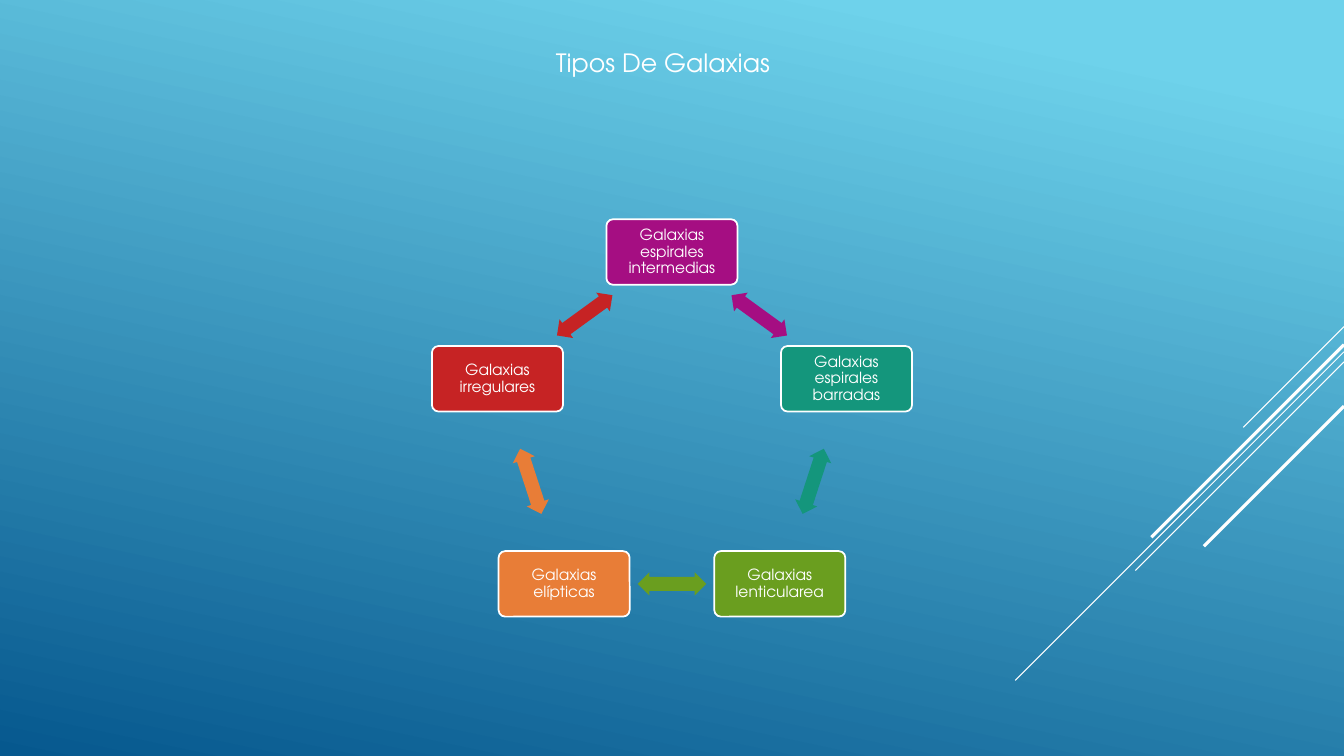
from math import cos, radians, sin

from lxml import etree
from pptx import Presentation
from pptx.dml.color import RGBColor
from pptx.enum.shapes import MSO_CONNECTOR, MSO_SHAPE
from pptx.enum.text import MSO_ANCHOR, PP_ALIGN
from pptx.oxml.ns import qn
from pptx.util import Inches, Pt

FONT = "TeX Gyre Adventor"
WHITE = RGBColor(0xFF, 0xFF, 0xFF)
SKY = RGBColor(0x6E, 0xD2, 0xEB)
DEEP_BLUE = RGBColor(0x06, 0x58, 0x8E)
PURPLE = RGBColor(0xA5, 0x0E, 0x82)
TEAL = RGBColor(0x14, 0x96, 0x7C)
GREEN = RGBColor(0x6A, 0x9E, 0x1F)
ORANGE = RGBColor(0xE8, 0x7D, 0x37)
RED = RGBColor(0xC6, 0x23, 0x24)

SLIDE_W, SLIDE_H = 13.33, 7.5

# Clockwise from the top
GALAXIES = [
    ("Galaxias espirales intermedias", PURPLE),
    ("Galaxias espirales barradas", TEAL),
    ("Galaxias lenticularea", GREEN),
    ("Galaxias elípticas", ORANGE),
    ("Galaxias irregulares", RED),
]

# Top on the right edge, horizontal run, width in points
STREAKS = [
    (3.24, 1.0, 0.75),
    (3.49, 3.26, 0.75),
    (3.59, 2.07, 0.75),
    (3.42, 1.91, 2.25),
    (4.03, 1.39, 2.25),
]


def add_text(tf, text, size):
    tf.word_wrap = True
    p = tf.paragraphs[0]
    p.alignment = PP_ALIGN.CENTER
    r = p.add_run()
    r.text = text
    r.font.name = FONT
    r.font.size = Pt(size)
    r.font.color.rgb = WHITE
    return p


def add_filled(s, kind, cx, cy, w, h, color):
    """Add a flat shape centred on (cx, cy)."""
    sp = s.shapes.add_shape(kind, Inches(cx - w / 2), Inches(cy - h / 2),
                            Inches(w), Inches(h))
    sp.shadow.inherit = False
    sp.fill.solid()
    sp.fill.fore_color.rgb = color
    return sp


def add_background(s):
    fill = s.background.fill
    fill.gradient()
    fill.gradient_angle = 360 - 102
    for stop, pos, color in zip(fill.gradient_stops, (0.1, 1), (SKY, DEEP_BLUE)):
        stop.position = pos
        stop.color.rgb = color


def add_streaks(s, right):
    """Draw the 45 degree lines that start on the right edge."""
    for top, run, width in STREAKS:
        line = s.shapes.add_connector(
            MSO_CONNECTOR.STRAIGHT, Inches(right), Inches(top),
            Inches(right - run), Inches(top + run))
        line.line.color.rgb = WHITE
        line.line.width = Pt(width)
        etree.SubElement(line._element.spPr, qn("a:effectLst"))


def add_title(s, left, top, width, height):
    tb = s.shapes.add_textbox(Inches(left), Inches(top), Inches(width), Inches(height))
    add_text(tb.text_frame, "Tipos De Galaxias", 18)


def add_node(s, cx, cy, text, color):
    sp = add_filled(s, MSO_SHAPE.ROUNDED_RECTANGLE, cx, cy, 1.3, 0.65, color)
    sp.adjustments[0] = 0.1
    sp.line.color.rgb = WHITE
    sp.line.width = Pt(1.25)
    tf = sp.text_frame
    tf.margin_left = tf.margin_right = Inches(0.05)
    tf.margin_top = tf.margin_bottom = Inches(0.05)
    tf.vertical_anchor = MSO_ANCHOR.MIDDLE
    add_text(tf, text, 11).line_spacing = 0.9


def add_arrow(s, cx, cy, angle, color):
    sp = add_filled(s, MSO_SHAPE.LEFT_RIGHT_ARROW, cx, cy, 0.68, 0.23, color)
    sp.adjustments[0] = 0.6
    sp.adjustments[1] = 0.5
    sp.line.fill.background()
    sp.rotation = angle


def add_cycle(s, cx, cy, radius):
    """Place the nodes on a circle, with an arrow midway between neighbours."""
    step = 360 / len(GALAXIES)
    mid_radius = radius * cos(radians(step / 2))
    for i, (text, color) in enumerate(GALAXIES):
        a = radians(i * step)
        add_node(s, cx + radius * sin(a), cy - radius * cos(a), text, color)
        mid = (i + 0.5) * step
        a = radians(mid)
        add_arrow(s, cx + mid_radius * sin(a), cy - mid_radius * cos(a), mid, color)


def main():
    prs = Presentation()
    prs.slide_width = Inches(SLIDE_W)
    prs.slide_height = Inches(SLIDE_H)
    s = prs.slides.add_slide(prs.slide_layouts[6])
    add_background(s)
    add_streaks(s, SLIDE_W)
    add_cycle(s, SLIDE_W / 2, 4.32, 1.82)
    add_title(s, 3.79, 0.42, 5.57, 0.4)
    prs.save("out.pptx")


if __name__ == "__main__":
    main()
